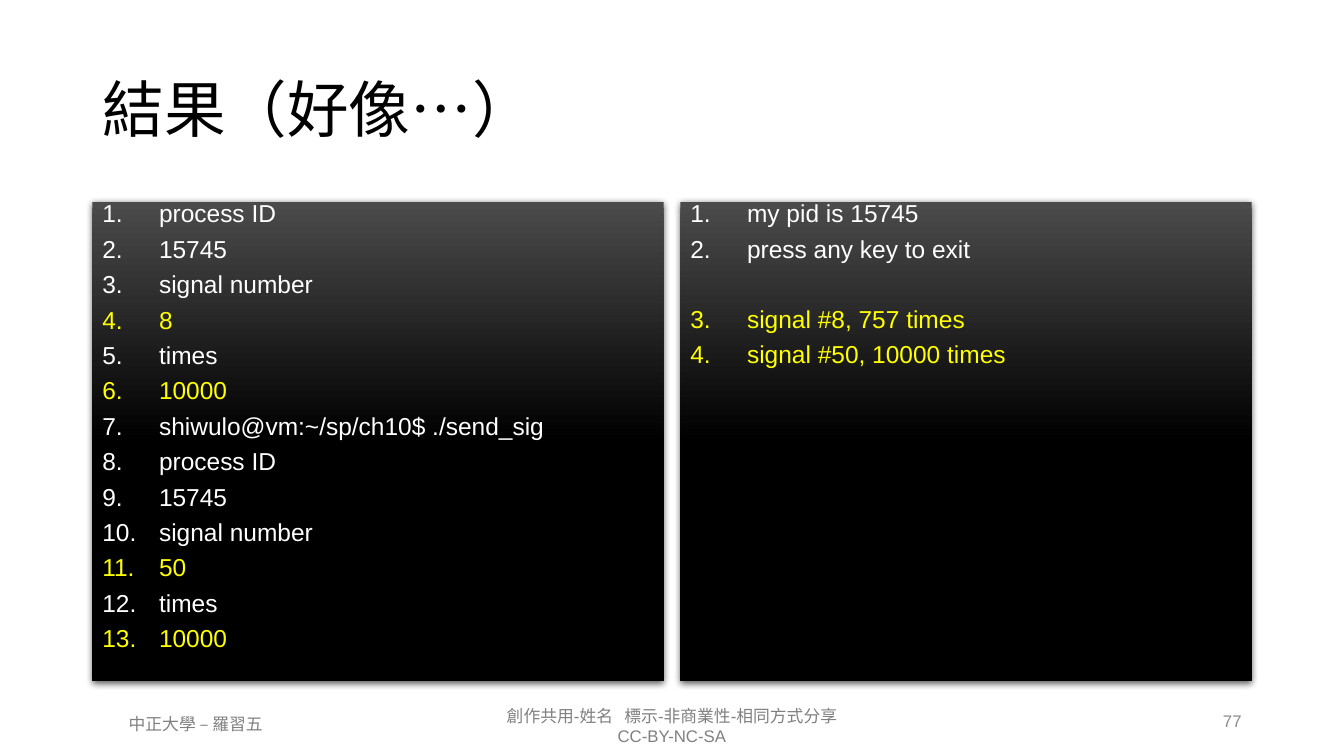
from lxml.etree import SubElement
from pptx import Presentation
from pptx.dml.color import RGBColor
from pptx.enum.shapes import MSO_SHAPE
from pptx.enum.text import MSO_ANCHOR, PP_ALIGN
from pptx.oxml.ns import qn
from pptx.util import Pt

EMU_PER_PX = 9525
WHITE, YELLOW = "FFFFFF", "FFFF00"
INDENT = 54
LINE_PITCH = 24.7
SPACE_BEFORE = 10.6

SENDER_LINES = [
    ("process ID", WHITE),
    ("15745", WHITE),
    ("signal number", WHITE),
    ("8", YELLOW),
    ("times", WHITE),
    ("10000", YELLOW),
    ("shiwulo@vm:~/sp/ch10$ ./send_sig", WHITE),
    ("process ID", WHITE),
    ("15745", WHITE),
    ("signal number", WHITE),
    ("50", YELLOW),
    ("times", WHITE),
    ("10000", YELLOW),
]
RECEIVER_LINES = [
    ("my pid is 15745", WHITE),
    ("press any key to exit", WHITE),
    ("signal #8, 757 times", YELLOW),
    ("signal #50, 10000 times", YELLOW),
]


def px(length):
    """Turn pixels into EMU."""
    return length * EMU_PER_PX


def color(value):
    """Turn a hex string into a colour."""
    return RGBColor.from_string(value)


def set_font(para, size, value):
    """Set the font of a whole paragraph."""
    para.font.name = "Arial"
    para.font.size = Pt(size)
    para.font.color.rgb = color(value)


def add_title(page, box, text):
    """Place and format the title placeholder."""
    title = page.shapes.title
    title.left, title.top, title.width, title.height = map(px, box)
    frame = title.text_frame
    frame.text = text
    frame.vertical_anchor = MSO_ANCHOR.MIDDLE
    para = frame.paragraphs[0]
    para.alignment = PP_ALIGN.LEFT
    para.line_spacing = 0.9
    set_font(para, 44, "000000")


def add_shadow(shape):
    """Give a shape a soft shadow below."""
    shape.shadow.inherit = False
    effects = shape._element.spPr.find(qn("a:effectLst"))
    shadow = SubElement(effects, qn("a:outerShdw"), blurRad=str(Pt(4.5)),
                        dist=str(Pt(1.5)), dir="5400000", rotWithShape="0")
    black = SubElement(shadow, qn("a:srgbClr"), val="000000")
    SubElement(black, qn("a:alpha"), val="63000")


def number_paragraph(para):
    """Give a paragraph an automatic number and a hanging indent."""
    properties = para._p.get_or_add_pPr()
    properties.set("marL", str(px(INDENT)))
    properties.set("indent", str(-px(INDENT)))
    SubElement(properties, qn("a:buFont"), typeface="+mj-lt")
    SubElement(properties, qn("a:buAutoNum"), type="arabicPeriod")


def add_terminal(page, box, lines, gap_before=None):
    """Draw a dark panel of numbered lines, with one empty row at gap_before."""
    panel = page.shapes.add_shape(MSO_SHAPE.RECTANGLE, *map(px, box))
    panel.line.fill.background()
    panel.fill.gradient()
    panel.fill.gradient_angle = 270
    for stop, (position, value) in zip(panel.fill.gradient_stops,
                                       [(0, "4B4B4B"), (0.5, "000000")]):
        stop.position = position
        stop.color.rgb = color(value)
    add_shadow(panel)
    frame = panel.text_frame
    frame.word_wrap = True
    frame.vertical_anchor = MSO_ANCHOR.TOP
    for index, (text, value) in enumerate(lines):
        para = frame.paragraphs[0] if index == 0 else frame.add_paragraph()
        para.text = text
        para.alignment = PP_ALIGN.LEFT
        para.line_spacing = 0.7
        extra = LINE_PITCH if index == gap_before else 0
        para.space_before = Pt(SPACE_BEFORE + extra)
        set_font(para, 17.5, value)
        number_paragraph(para)


def add_footer(page, box, lines, value="808080", alignment=PP_ALIGN.CENTER,
               anchor=MSO_ANCHOR.TOP):
    """Write small grey text at the foot of the page."""
    frame = page.shapes.add_textbox(*map(px, box)).text_frame
    frame.word_wrap = True
    frame.vertical_anchor = anchor
    frame.text = "\n".join(lines)
    for para in frame.paragraphs:
        para.alignment = alignment
        set_font(para, 12, value)


def main():
    """Build the slide and save it."""
    deck = Presentation()
    deck.slide_width, deck.slide_height = px(1280), px(720)
    page = deck.slides.add_slide(deck.slide_layouts[5])
    left, top, width, height, gap = 88, 192, 544, 457, 16
    add_footer(page, (404, 667, 472, 48),
               ["創作共用-姓名   標示-非商業性-相同方式分享", "CC-BY-NC-SA"])
    add_footer(page, (66, 675, 241, 29), ["中正大學 – 羅習五"])
    add_title(page, (left, 38, 2 * width + gap, 139), "結果（好像…）")
    add_terminal(page, (left, top, width, height), SENDER_LINES)
    add_terminal(page, (left + width + gap, top, width, height),
                 RECEIVER_LINES, gap_before=2)
    add_footer(page, (904, 667, 288, 38), ["77"], "8C8C8C",
               PP_ALIGN.RIGHT, MSO_ANCHOR.MIDDLE)
    deck.save("out.pptx")


if __name__ == "__main__":
    main()
